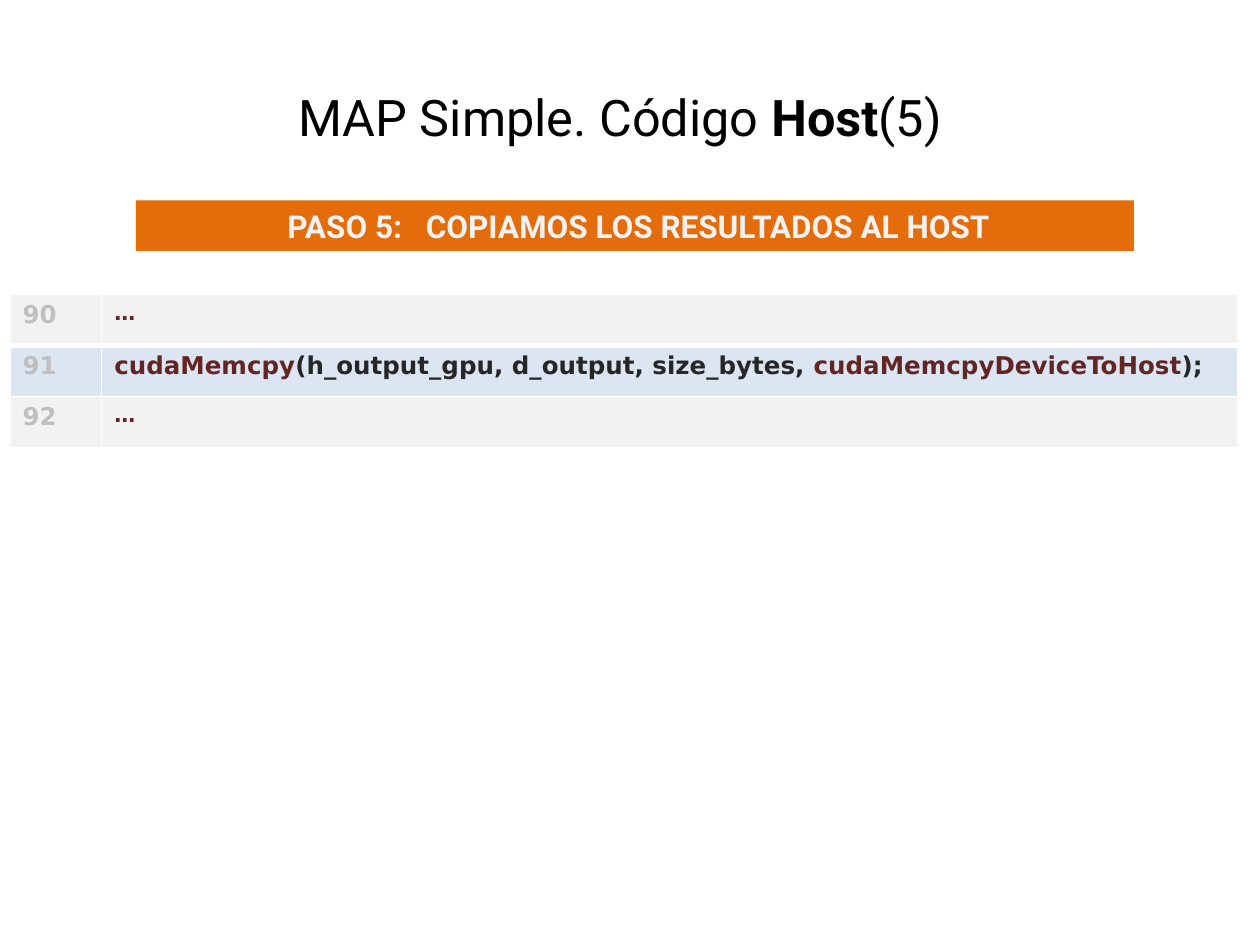
from lxml.etree import SubElement
from pptx import Presentation
from pptx.dml.color import RGBColor
from pptx.enum.shapes import MSO_SHAPE
from pptx.enum.text import MSO_ANCHOR, PP_ALIGN
from pptx.oxml.ns import qn
from pptx.util import Cm, Pt

COLORS = {
    "title": "000000",
    "banner": "E46C0A",
    "light": "F2F2F2",
    "highlight": "DCE6F2",
    "number": "BFBFBF",
    "keyword": "632523",
    "code": "262626",
    "border": "FFFFFF",
}


def add_span(para, text, color, bold=None):
    span = para.add_run()
    span.text = text
    span.font.color.rgb = RGBColor.from_string(COLORS[color])
    span.font.bold = bold
    return span


def set_borders(cell, widths):
    """Draw the cell's edges; widths maps L, R, T and B to points."""
    properties = cell._tc.get_or_add_tcPr()
    for position, (side, width) in enumerate(widths.items()):
        line = properties.makeelement(qn(f"a:ln{side}"), {"w": str(Pt(width))})
        fill = SubElement(line, qn("a:solidFill"))
        SubElement(fill, qn("a:srgbClr"), val=COLORS["border"])
        properties.insert(position, line)


deck = Presentation()
deck.slide_width, deck.slide_height = Cm(25.4), Cm(19.05)
page = deck.slides.add_slide(deck.slide_layouts[6])

# Title
title = page.shapes.add_textbox(Cm(1.07), Cm(1.78), Cm(22.86), Cm(1.14)).text_frame
title.word_wrap = True
title.vertical_anchor = MSO_ANCHOR.MIDDLE
para = title.paragraphs[0]
para.alignment = PP_ALIGN.CENTER
para.font.name, para.font.size = "Roboto", Pt(28.8)
add_span(para, "MAP Simple. Código ", "title")
add_span(para, "Host", "title", bold=True)
add_span(para, "(5)", "title")

# Code listing
rows = [
    ("90", "light", [("…", "keyword")]),
    ("91", "highlight", [
        ("cudaMemcpy", "keyword"),
        ("(h_output_gpu, d_output, size_bytes, ", "code"),
        ("cudaMemcpyDeviceToHost", "keyword"),
        (");", "code"),
    ]),
    ("92", "light", [("…", "keyword")]),
]
listing = page.shapes.add_table(
    len(rows), 2, Cm(0.2), Cm(5.93), Cm(24.77), Cm(3.1)).table
listing.columns[0].width, listing.columns[1].width = Cm(1.85), Cm(22.91)
for index, (number, background, code) in enumerate(rows):
    for column, spans in enumerate([[(number, "number")], code]):
        cell = listing.cell(index, column)
        cell.fill.solid()
        cell.fill.fore_color.rgb = RGBColor.from_string(COLORS[background])
        set_borders(cell, {
            "L": 1, "R": 1,
            "T": 3 if index == 1 else 1,
            "B": 3 if index == 0 else 1,
        })
        para = cell.text_frame.paragraphs[0]
        para.font.name, para.font.bold = "DejaVu Sans", True
        para.font.size = Pt(12 if spans[0][0] == "…" else 14)
        for text, color in spans:
            add_span(para, text, color, bold=True)

# Step banner
banner = page.shapes.add_shape(
    MSO_SHAPE.RECTANGLE, Cm(2.74), Cm(4.04), Cm(20.12), Cm(1.02))
banner.shadow.inherit = False
banner.fill.solid()
banner.fill.fore_color.rgb = RGBColor.from_string(COLORS["banner"])
banner.line.fill.background()
banner.text_frame.word_wrap = True
banner.text_frame.margin_left = Cm(0.4)
para = banner.text_frame.paragraphs[0]
para.alignment = PP_ALIGN.CENTER
para.font.name, para.font.size = "Roboto", Pt(18)
add_span(para, "PASO 5:", "light", bold=True)
gap = add_span(para, " ", "light", bold=True)
gap._r.get_or_add_rPr().set("spc", "900")  # widened by 9 pt
add_span(para, "COPIAMOS LOS RESULTADOS AL HOST", "light", bold=True)

deck.save("out.pptx")
